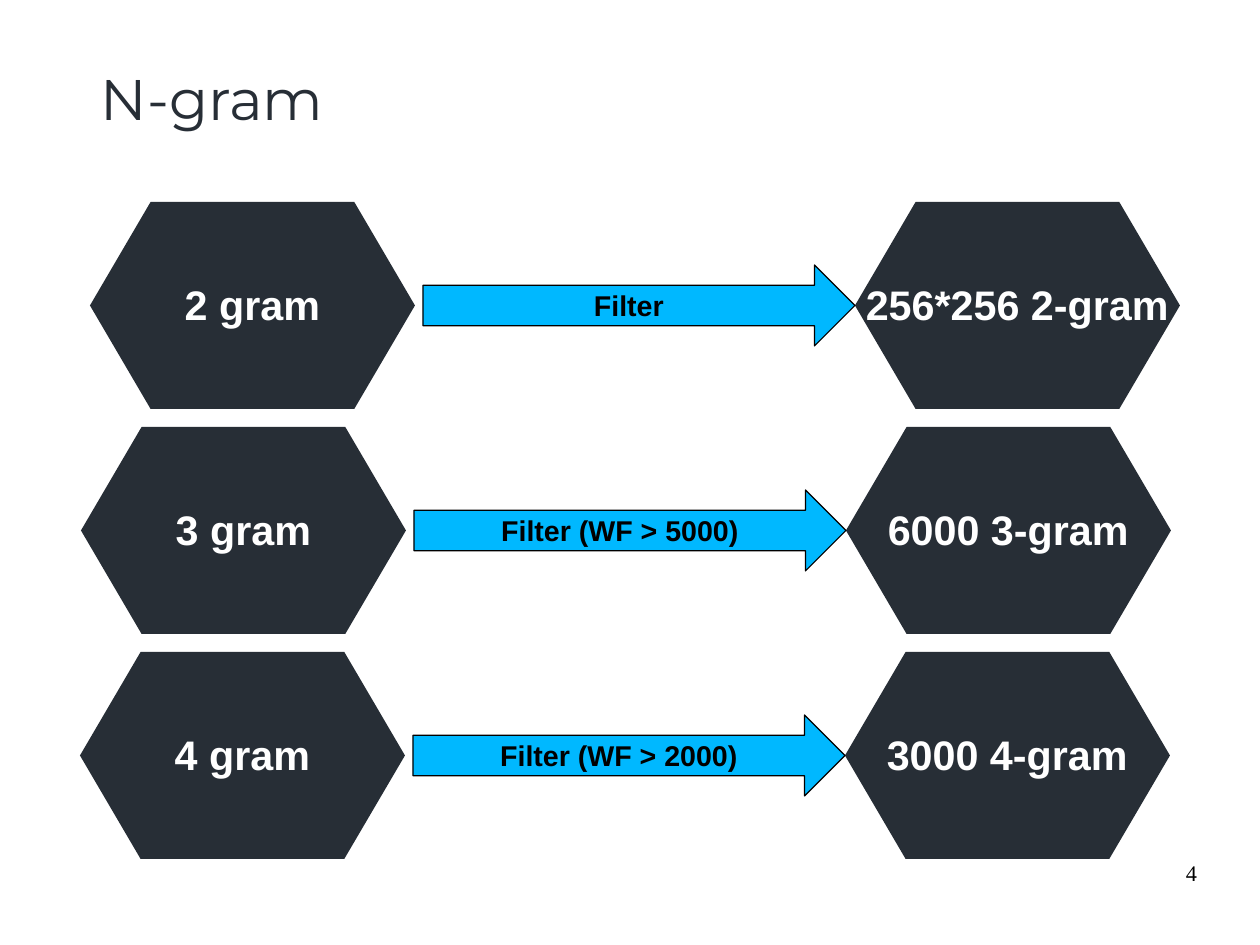
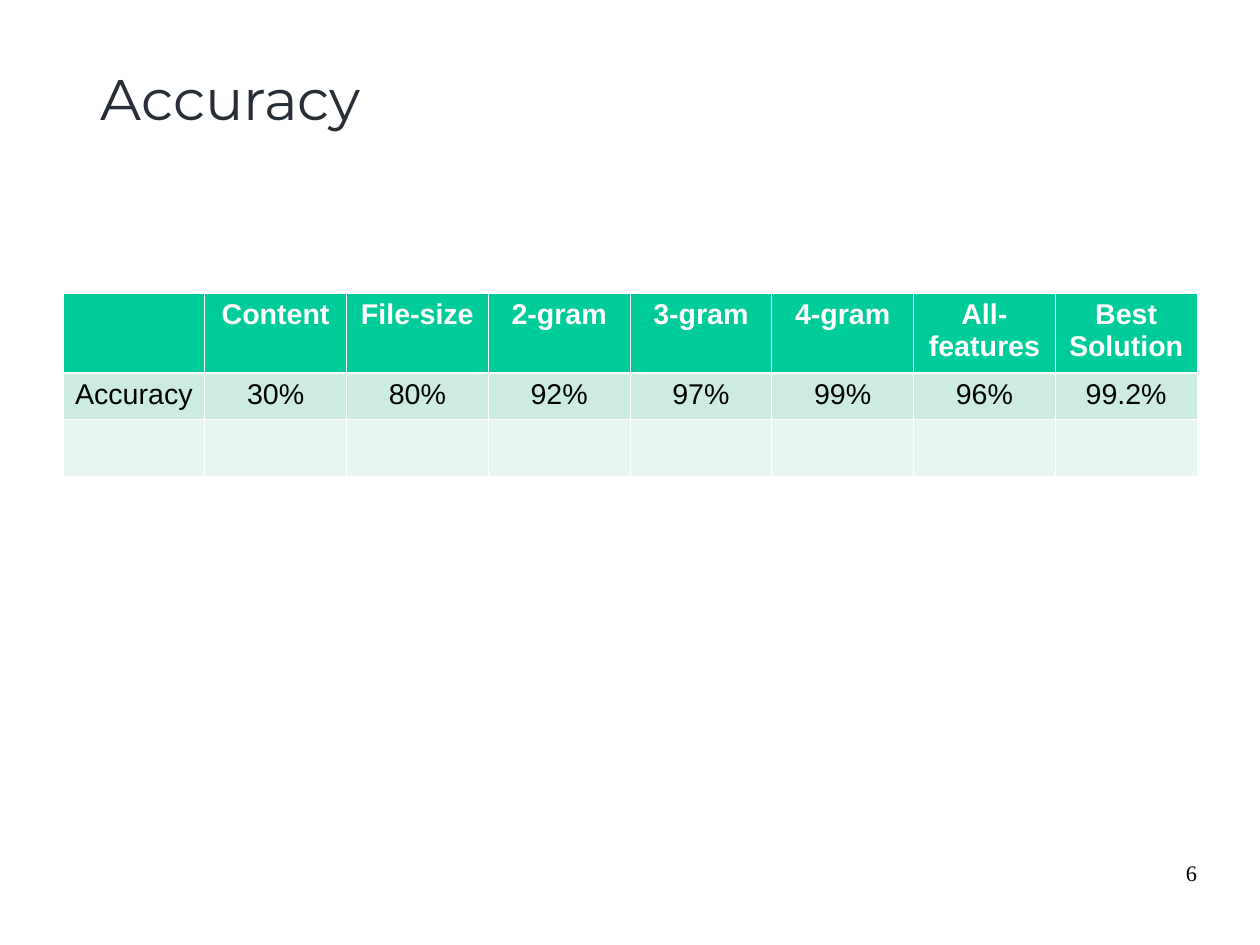
from lxml.etree import SubElement
from pptx import Presentation
from pptx.dml.color import RGBColor
from pptx.enum.shapes import MSO_SHAPE as Shape
from pptx.enum.text import MSO_ANCHOR as Anchor, MSO_AUTO_SIZE as AutoSize, PP_ALIGN as Align
from pptx.oxml.ns import qn
from pptx.util import Emu, Pt

EMU_PER_PX = 8000
PAGE_WIDTH, PAGE_HEIGHT = 1260, 945

SLATE = RGBColor(0x27, 0x2E, 0x36)
BLUE = RGBColor(0x00, 0xB8, 0xFF)
GREEN = RGBColor(0x00, 0xCC, 0x99)
MINT = RGBColor(0xCB, 0xEC, 0xDE)
PALE_MINT = RGBColor(0xE7, 0xF6, 0xEF)
WHITE = RGBColor(0xFF, 0xFF, 0xFF)
BLACK = RGBColor(0x00, 0x00, 0x00)

HEXAGON_WIDTH, HEXAGON_HEIGHT = 325, 207
ARROW_WIDTH, ARROW_HEIGHT = 432, 81
FLOW_TOP, FLOW_STEP, FLOW_GAP = 202, 225, 8
THIN, THICK = 0.45, 1.47

FLOWS = [
    (90, "2 gram", "Filter", "256*256 2-gram"),
    (81, "3 gram", "Filter (WF > 5000)", "6000 3-gram"),
    (80, "4 gram", "Filter (WF > 2000)", "3000 4-gram"),
]
HEADINGS = ["", "Content", "File-size", "2-gram", "3-gram", "4-gram",
            "All-features", "Best\nSolution"]
SCORES = ["Accuracy", "30%", "80%", "92%", "97%", "99%", "96%", "99.2%"]


def px(length):
    return Emu(length * EMU_PER_PX)


def write(frame, text, size, color, font="Arial", bold=False,
          align=Align.CENTER, spacing=None):
    """Fill a text frame, one paragraph for each line of text."""
    frame.text = text
    for para in frame.paragraphs:
        para.alignment = align
        para.line_spacing = spacing
        para.font.name = font
        para.font.size = Pt(size)
        para.font.bold = bold
        para.font.color.rgb = color


def set_margins(frame, left, top, right, bottom):
    frame.margin_left, frame.margin_top = px(left), px(top)
    frame.margin_right, frame.margin_bottom = px(right), px(bottom)


def add_page(deck, title, number):
    """Add a slide with the shared title style and page number."""
    page = deck.slides.add_slide(deck.slide_layouts[5])
    heading = page.shapes.title
    heading.left, heading.top = px(90), px(45)
    heading.width, heading.height = px(1094), px(93)
    frame = heading.text_frame
    frame.word_wrap = True
    frame.auto_size = AutoSize.SHAPE_TO_FIT_TEXT
    frame.vertical_anchor = Anchor.TOP
    set_margins(frame, 11, 6, 11, 6)
    write(frame, title, 36, SLATE, font="Montserrat", align=Align.LEFT, spacing=1.18)

    box = page.shapes.add_textbox(px(903), px(861), px(294), px(65))
    box.text_frame.word_wrap = True
    set_margins(box.text_frame, 0, 0, 0, 0)
    write(box.text_frame, str(number), 14, BLACK, font="Times New Roman",
          align=Align.RIGHT, spacing=0.95)
    return page


def add_block(page, kind, left, top, width, height, fill):
    block = page.shapes.add_shape(kind, px(left), px(top), px(width), px(height))
    block.shadow.inherit = False
    block.fill.solid()
    block.fill.fore_color.rgb = fill
    return block


def add_hexagon(page, left, top, text):
    hexagon = add_block(page, Shape.HEXAGON, left, top, HEXAGON_WIDTH, HEXAGON_HEIGHT, SLATE)
    hexagon.adjustments[0] = 0.293
    hexagon.line.fill.background()
    frame = hexagon.text_frame
    frame.word_wrap = False
    frame.vertical_anchor = Anchor.MIDDLE
    set_margins(frame, 11, 8, 11, 6)
    write(frame, text, 26, WHITE, bold=True, spacing=0.93)


def add_arrow(page, left, top, text):
    arrow = add_block(page, Shape.RIGHT_ARROW, left, top, ARROW_WIDTH, ARROW_HEIGHT, BLUE)
    arrow.line.color.rgb = BLACK
    arrow.line.width = Pt(0.75)
    frame = arrow.text_frame
    frame.word_wrap = True
    frame.vertical_anchor = Anchor.TOP
    set_margins(frame, 11, 6, 11, 6)
    write(frame, text, 18, BLACK, bold=True, spacing=0.93)


def add_flow(page, left, top, source, step, result):
    """Add one row: a hexagon, an arrow and the hexagon it leads to."""
    arrow_left = left + HEXAGON_WIDTH + FLOW_GAP
    add_hexagon(page, arrow_left + ARROW_WIDTH, top, result)
    add_hexagon(page, left, top, source)
    add_arrow(page, arrow_left, top + (HEXAGON_HEIGHT - ARROW_HEIGHT) // 2, step)


def set_borders(cell, top, bottom):
    """Draw white cell borders; top and bottom are widths in points."""
    properties = cell._tc.get_or_add_tcPr()
    for side, width in (("L", THIN), ("R", THIN), ("T", top), ("B", bottom)):
        line = SubElement(properties, qn(f"a:ln{side}"), w=str(Pt(width)))
        fill = SubElement(line, qn("a:solidFill"))
        SubElement(fill, qn("a:srgbClr"), val=str(WHITE))


def add_score_table(page, left, top, width):
    rows = [
        (HEADINGS, 80, GREEN, WHITE, True, THIN, THICK),
        (SCORES, 46, MINT, BLACK, False, THICK, THIN),
        ([""] * len(HEADINGS), 57, PALE_MINT, BLACK, False, THIN, THIN),
    ]
    height = sum(row[1] for row in rows)
    # add_table shares the width equally between the columns
    table = page.shapes.add_table(len(rows), len(HEADINGS), px(left), px(top),
                                  px(width), px(height)).table
    table.horz_banding = False
    for row, (texts, row_height, fill, color, bold, over, under) in zip(table.rows, rows):
        row.height = px(row_height)
        for cell, text in zip(row.cells, texts):
            set_borders(cell, over, under)
            cell.fill.solid()
            cell.fill.fore_color.rgb = fill
            write(cell.text_frame, text, 18, color, bold=bold)


def main():
    deck = Presentation()
    deck.slide_width, deck.slide_height = px(PAGE_WIDTH), px(PAGE_HEIGHT)

    page = add_page(deck, "N-gram", 4)
    for index, (left, *texts) in enumerate(FLOWS):
        add_flow(page, left, FLOW_TOP + index * FLOW_STEP, *texts)

    page = add_page(deck, "Accuracy", 6)
    add_score_table(page, 63, 293, 1134)

    deck.save("out.pptx")


if __name__ == "__main__":
    main()
